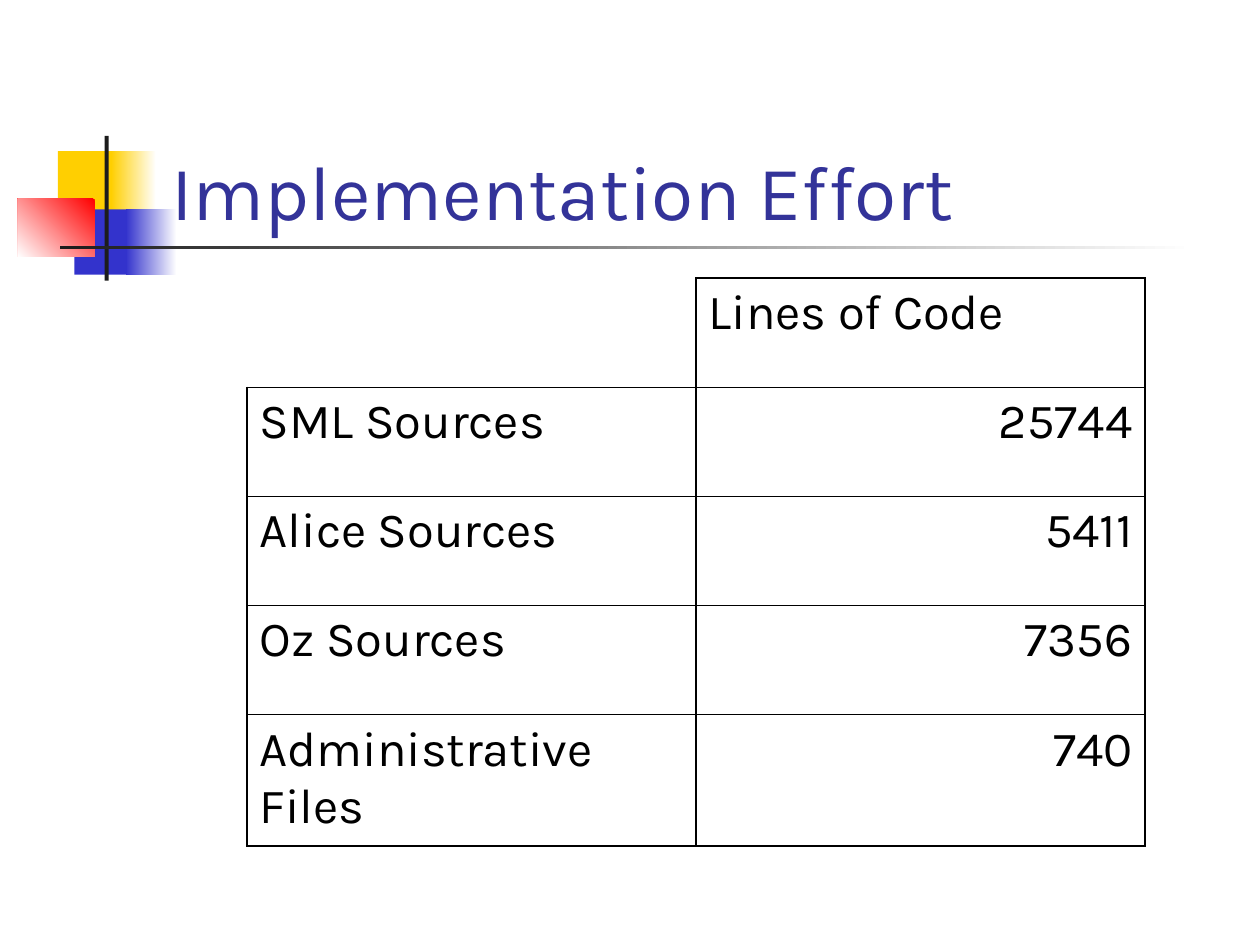
"""Build the implementation effort slide with its table of code sizes."""
from dataclasses import dataclass
from typing import Optional

from lxml import etree
from pptx import Presentation
from pptx.dml import color
from pptx.enum import shapes, text
from pptx.oxml import ns
from pptx.util import Cm, Pt

FONT = "Karla"
BLACK = "000000"
THICK, THIN = 1.08, 0.45
ROW_HEIGHTS = [2.2, 2.2, 2.2, 2.2, 2.64]
ROWS = [
    ("", "Lines of Code"),
    ("SML Sources", "25744"),
    ("Alice Sources", "5411"),
    ("Oz Sources", "7356"),
    ("Administrative Files", "740"),
]


@dataclass
class Block:
    left: float
    top: float
    width: float
    height: float
    start: str
    end: Optional[str] = None
    angle: int = 180


BLOCKS = [
    Block(1.17, 3.05, 1.22, 1.32, "FFCF01"),
    Block(2.24, 3.05, 0.91, 1.32, "FFFFFF", "FFCF01"),
    Block(1.5, 4.22, 1.17, 1.32, "3333CC"),
    Block(2.54, 4.22, 1.02, 1.32, "FFFFFF", "3333CC"),
    Block(0.36, 4.01, 1.55, 1.17, "FF0000", "FFFFFF", 225),
    Block(2.11, 2.74, 0.08, 2.92, "1C1C1C"),
    Block(1.22, 4.95, 22.86, 0.08, "FFFFFF", "1C1C1C"),
]


def rgb(value: str) -> color.RGBColor:
    return color.RGBColor.from_string(value)


def format_text(paragraph, size: float, fill: str) -> None:
    for run in paragraph.runs:
        run.font.name = FONT
        run.font.size = Pt(size)
        run.font.color.rgb = rgb(fill)


def draw_block(slide, block: Block) -> None:
    shape = slide.shapes.add_shape(
        shapes.MSO_SHAPE.RECTANGLE,
        Cm(block.left), Cm(block.top), Cm(block.width), Cm(block.height))
    shape.shadow.inherit = False
    shape.line.fill.background()
    if block.end is None:
        shape.fill.solid()
        shape.fill.fore_color.rgb = rgb(block.start)
        return
    shape.fill.gradient()
    shape.fill.gradient_angle = block.angle
    stops = zip(shape.fill.gradient_stops, (block.start, block.end), (0, 1))
    for stop, value, position in stops:
        stop.color.rgb = rgb(value)
        stop.position = position


def draw_title(slide, title: str) -> None:
    shape = slide.shapes.title
    shape.left, shape.top = Cm(3.2), Cm(1.7)
    shape.width, shape.height = Cm(21.64), Cm(3.18)
    frame = shape.text_frame
    frame.text = title
    frame.auto_size = text.MSO_AUTO_SIZE.NONE
    frame.vertical_anchor = text.MSO_ANCHOR.BOTTOM
    frame.paragraphs[0].alignment = text.PP_ALIGN.LEFT
    format_text(frame.paragraphs[0], 44, "333399")
    shape.element.getparent().append(shape.element)


def set_borders(cell, widths: dict[str, float]) -> None:
    properties = cell._tc.get_or_add_tcPr()
    for index, (side, width) in enumerate(widths.items()):
        line = etree.Element(ns.qn(f"a:ln{side}"), w=str(Pt(width)))
        fill = etree.SubElement(line, ns.qn("a:solidFill"))
        etree.SubElement(fill, ns.qn("a:srgbClr"), val=BLACK)
        properties.insert(index, line)


def draw_table(slide) -> None:
    table = slide.shapes.add_table(
        len(ROWS), 2, Cm(4.98), Cm(5.61), Cm(18.1), Cm(sum(ROW_HEIGHTS))).table
    table.first_row = table.horz_banding = False
    last = len(ROWS) - 1
    for row, (values, height) in enumerate(zip(ROWS, ROW_HEIGHTS)):
        table.rows[row].height = Cm(height)
        widths = {
            "L": THICK,
            "R": THICK,
            "T": THICK if row < 2 else THIN,
            "B": THICK if row in (0, last) else THIN,
        }
        for column, value in enumerate(values):
            cell = table.cell(row, column)
            cell.fill.background()
            if not value:
                set_borders(cell, {"R": THICK, "B": THICK})
                continue
            set_borders(cell, widths)
            cell.text_frame.text = value
            paragraph = cell.text_frame.paragraphs[0]
            is_number = row > 0 and column == 1
            paragraph.alignment = text.PP_ALIGN.RIGHT if is_number else text.PP_ALIGN.LEFT
            format_text(paragraph, 28, BLACK)


def main() -> None:
    presentation = Presentation()
    presentation.slide_width, presentation.slide_height = Cm(25.4), Cm(19.05)
    slide = presentation.slides.add_slide(presentation.slide_layouts[5])
    for block in BLOCKS:
        draw_block(slide, block)
    draw_title(slide, "Implementation Effort")
    draw_table(slide)
    presentation.save("out.pptx")


if __name__ == "__main__":
    main()
